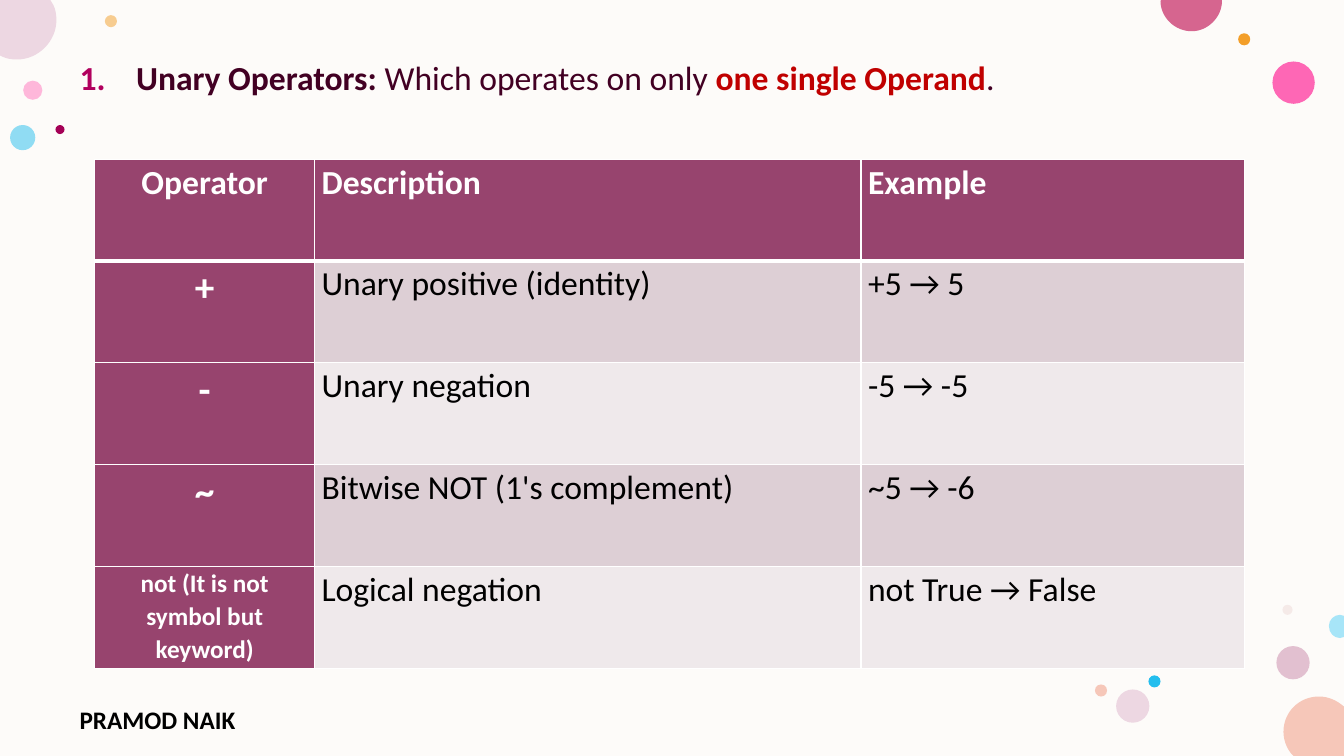
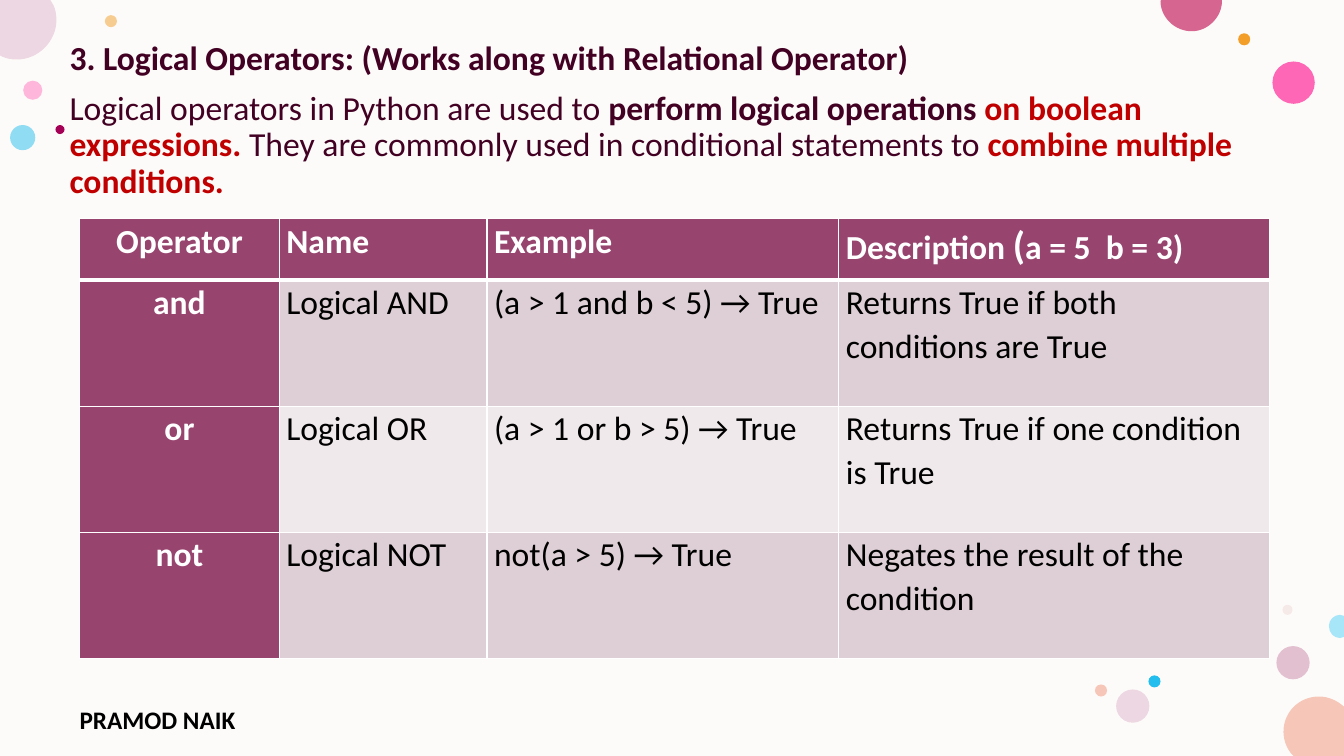
import lxml.etree
import pptx
import pptx.dml.color
import pptx.enum.shapes
import pptx.enum.text
import pptx.oxml.ns
import pptx.util

RGB = pptx.dml.color.RGBColor
ALIGN = pptx.enum.text.PP_ALIGN
SHAPE = pptx.enum.shapes.MSO_SHAPE
qn = pptx.oxml.ns.qn

PX = 9144
WIDTH, HEIGHT = 1333, 750
FONT = "Calibri"

CREAM = RGB(0xFD, 0xFB, 0xF9)
WHITE = RGB(0xFF, 0xFF, 0xFF)
BLACK = RGB(0x00, 0x00, 0x00)
WINE = RGB(0x42, 0x00, 0x23)
RED = RGB(0xC0, 0x00, 0x00)
MAGENTA = RGB(0xB1, 0x00, 0x5E)
PLUM = RGB(0x97, 0x44, 0x6E)
BAND_DARK = RGB(0xDD, 0xCF, 0xD5)
BAND_LIGHT = RGB(0xEF, 0xE9, 0xEB)
PINK = RGB(0xFF, 0x75, 0xBD)
HOT_PINK = RGB(0xFF, 0x2F, 0x9C)
ORANGE = RGB(0xF3, 0x9E, 0x29)
MAUVE = RGB(0xC9, 0x87, 0xA8)
CYAN = RGB(0x24, 0xBE, 0xEE)
PALE_CYAN = RGB(0xA7, 0xE5, 0xF8)
ROSE = RGB(0xE3, 0xBE, 0xBE)
LILAC = RGB(0xED, 0xD7, 0xE2)
PEACH = RGB(0xF6, 0xC7, 0xB9)
RASPBERRY = RGB(0xD6, 0x65, 0x8F)
CRIMSON = RGB(0xA4, 0x00, 0x56)

BUBBLES = [
    (23, 80, 19, PINK, 50),
    (104, 15, 12, ORANGE, 50),
    (1266, 641, 33, MAUVE, 50),
    (10, 124, 25, CYAN, 50),
    (1262, 61, 42, HOT_PINK, 72),
    (1228, 33, 12, ORANGE, 100),
    (1272, 600, 10, ROSE, 28),
    (1139, 670, 12, CYAN, 100),
    (1107, 684, 33, LILAC, 100),
    (1086, 679, 12, PEACH, 100),
    (55, 124, 9, CRIMSON, 100),
]

EDGE_BUBBLES = [
    (PEACH, (1308, 691), [
        [(1318, 691), (1326, 695), (1333, 701)],
        [(1333, 750)], [(1283, 750)], [(1281, 748)],
        [(1276, 742), (1273, 734), (1273, 726)],
        [(1273, 706), (1289, 691), (1308, 691)]]),
    (LILAC, (0, 0), [
        [(50, 0)], [(53, 5)],
        [(55, 9), (56, 14), (56, 20)],
        [(56, 41), (38, 59), (17, 59)],
        [(11, 59), (6, 58), (2, 56)],
        [(0, 55)]]),
    (RASPBERRY, (1152, 0), [
        [(1212, 0)], [(1212, 1)],
        [(1212, 17), (1198, 31), (1182, 31)],
        [(1165, 31), (1151, 17), (1151, 1)]]),
    (PALE_CYAN, (1329, 610), [
        [(1333, 611)], [(1333, 632)], [(1329, 633)],
        [(1323, 633), (1318, 628), (1318, 621)],
        [(1318, 615), (1323, 610), (1329, 610)]]),
]


def px(*values):
    return [v * PX for v in values]


def add_run(p, text, size=24, color=WINE, bold=False):
    r = p.add_run()
    r.text = text
    r.font.name = FONT
    r.font.size = pptx.util.Pt(size)
    r.font.bold = bold
    r.font.color.rgb = color


def paint(sp, color, opacity=100):
    sp.shadow.inherit = False
    sp.fill.solid()
    sp.fill.fore_color.rgb = color
    sp.line.fill.background()
    if opacity < 100:
        clr = sp._element.spPr.find(".//" + qn("a:srgbClr"))
        lxml.etree.SubElement(clr, qn("a:alpha"), val=str(opacity * 1000))


def add_bubble(s, left, top, size, color, opacity):
    sp = s.shapes.add_shape(SHAPE.OVAL, *px(left, top, size, size))
    paint(sp, color, opacity)


def add_edge_bubble(s, color, start, segments):
    builder = s.shapes.build_freeform(*start, scale=PX)
    builder.add_line_segments([pt for seg in segments for pt in seg])
    sp = builder.convert_to_shape()
    lines = iter(list(sp._element.iter(qn("a:lnTo"))))
    for segment in segments:
        steps = [next(lines) for _ in segment]
        if len(steps) == 3:
            curve = lxml.etree.Element(qn("a:cubicBezTo"))
            steps[0].addprevious(curve)
            for step in steps:
                curve.append(step[0])
                step.getparent().remove(step)
    paint(sp, color)


def add_footer(s, box):
    sp = s.shapes.add_textbox(*px(*box))
    sp.text_frame.word_wrap = True
    p = sp.text_frame.paragraphs[0]
    add_run(p, "PRAMOD NAIK", 18, BLACK, True)


def set_bullet(p, numbered):
    pPr = p._p.get_or_add_pPr()
    indent = 56 * PX if numbered else 0
    pPr.set("marL", str(indent))
    pPr.set("indent", str(-indent))
    if numbered:
        clr = lxml.etree.SubElement(pPr, qn("a:buClr"))
        lxml.etree.SubElement(clr, qn("a:srgbClr"), val=str(MAGENTA))
        lxml.etree.SubElement(pPr, qn("a:buAutoNum"), type="arabicPeriod")
    else:
        lxml.etree.SubElement(pPr, qn("a:buNone"))


def fill_body(s, left, top, paragraphs, numbered=False):
    sp = s.placeholders[1]
    sp.left, sp.top, sp.width, sp.height = px(left, top, 1181, 618)
    s.shapes._spTree.append(sp._element)
    tf = sp.text_frame
    tf.word_wrap = True
    tf.auto_size = pptx.enum.text.MSO_AUTO_SIZE.NONE
    tf.vertical_anchor = pptx.enum.text.MSO_ANCHOR.TOP
    for i, runs in enumerate(paragraphs):
        p = tf.add_paragraph() if i else tf.paragraphs[0]
        set_bullet(p, numbered)
        p.alignment = ALIGN.LEFT
        p.line_spacing = 0.9
        p.space_before = pptx.util.Pt(10 if i else 0)
        for run in runs:
            add_run(p, *run)


def set_border(cell, side, points):
    tcPr = cell._tc.get_or_add_tcPr()
    width = str(pptx.util.Pt(points))
    ln = lxml.etree.SubElement(tcPr, qn("a:ln" + side), w=width)
    fill = lxml.etree.SubElement(ln, qn("a:solidFill"))
    lxml.etree.SubElement(fill, qn("a:srgbClr"), val=str(WHITE))


def fill_cell(cell, row, col, content):
    strong = row == 0 or col == 0
    cell.margin_left = cell.margin_right = 7 * PX
    cell.margin_top = cell.margin_bottom = 0
    if row == 0:
        for side in "LRTB":
            set_border(cell, side, 3 if side == "B" else 1)
    cell.fill.solid()
    band = BAND_DARK if row % 2 else BAND_LIGHT
    cell.fill.fore_color.rgb = PLUM if strong else band
    p = cell.text_frame.paragraphs[0]
    p.alignment = ALIGN.CENTER if col == 0 else ALIGN.LEFT
    p.line_spacing = 1.07
    p.space_after = pptx.util.Pt(8)
    runs = [(content, 24)] if isinstance(content, str) else content
    for text, size in runs:
        add_run(p, text, size, WHITE if strong else BLACK, strong)


def add_operator_table(s, left, top, widths, heights, rows):
    box = px(left, top, sum(widths), sum(heights))
    table = s.shapes.add_table(len(rows), len(widths), *box).table
    table.first_col = True
    for column, width in zip(table.columns, widths):
        column.width = width * PX
    for row, height in zip(table.rows, heights):
        row.height = height * PX
    for i, row in enumerate(rows):
        for j, content in enumerate(row):
            fill_cell(table.cell(i, j), i, j, content)


def add_base_slide(prs):
    s = prs.slides.add_slide(prs.slide_layouts[1])
    title = s.shapes.title._element
    title.getparent().remove(title)
    backdrop = s.shapes.add_shape(SHAPE.RECTANGLE, *px(0, 0, WIDTH, HEIGHT))
    paint(backdrop, CREAM)
    for bubble in BUBBLES:
        add_bubble(s, *bubble)
    for bubble in EDGE_BUBBLES:
        add_edge_bubble(s, *bubble)
    add_footer(s, (69, 694, 245, 32))
    return s


def add_unary_slide(prs):
    s = add_base_slide(prs)
    fill_body(s, 69, 56, [[
        ("Unary Operators: ", 24, WINE, True),
        ("Which operates on only ",),
        ("one single Operand", 24, RED, True),
        (".",),
    ]], numbered=True)
    add_operator_table(s, 94, 158, [218, 542, 380], [101] * 5, [
        ("Operator", "Description", "Example"),
        ([("+", 28)], "Unary positive (identity)", "+5 → 5"),
        ([("-", 28)], "Unary negation", "-5 → -5"),
        ([("~", 28)], "Bitwise NOT (1's complement)", "~5 → -6"),
        ([("not (It is not symbol but keyword)", 18)],
         "Logical negation", "not True → False"),
    ])


def add_logical_slide(prs):
    s = add_base_slide(prs)
    heading = "3. Logical Operators: (Works along with Relational Operator)"
    fill_body(s, 59, 36, [[(heading, 24, WINE, True)], [
        ("Logical operators in Python are used to ",),
        ("perform logical operations ", 24, WINE, True),
        ("on boolean expressions. ", 24, RED, True),
        ("They are commonly used in conditional statements to ",),
        ("combine multiple conditions.", 24, RED, True),
    ]])
    description = [("Description ", 24), ("(", 28), ("a = 5  b = 3)", 24)]
    add_operator_table(s, 79, 217, [198, 206, 349, 427], [61] + [125] * 3, [
        ("Operator", "Name", "Example", description),
        ("and", "Logical AND", "(a > 1 and b < 5) → True",
         "Returns True if both conditions are True"),
        ("or", "Logical OR", "(a > 1 or b > 5) → True",
         "Returns True if one condition is True"),
        ("not", "Logical NOT", "not(a > 5) → True",
         "Negates the result of the condition"),
    ])


def main():
    prs = pptx.Presentation()
    prs.slide_width, prs.slide_height = px(WIDTH, HEIGHT)
    add_unary_slide(prs)
    add_logical_slide(prs)
    prs.save("out.pptx")


if __name__ == "__main__":
    main()
